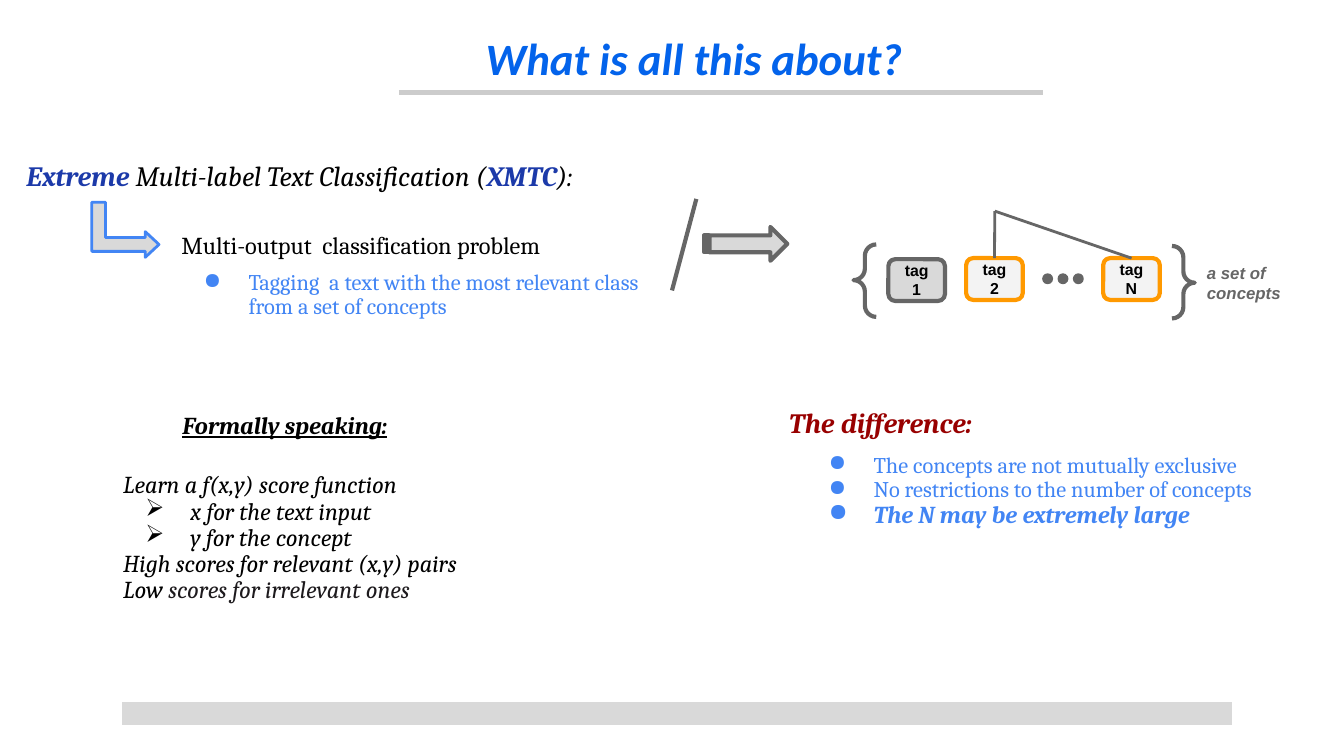
"""Build the slide introducing extreme multi-label text classification."""
from dataclasses import dataclass
from typing import Optional

from lxml import etree
from pptx import Presentation
from pptx import util as u
from pptx.dml.color import RGBColor
from pptx.enum import shapes, text
from pptx.oxml.ns import qn


@dataclass(frozen=True)
class Theme:
    black: str = "000000"
    ink: str = "1D1A1D"
    title: str = "0363EB"
    navy: str = "1C3AA9"
    blue: str = "4285F4"
    red: str = "980000"
    orange: str = "FF9900"
    gray: str = "666666"
    rule: str = "CCCCCC"
    silver: str = "D9D9D9"
    pale: str = "F3F3F3"
    serif: str = "Cambria"
    sans: str = "Arial"
    heading: str = "Calibri"
    title_size: float = 24
    heading_size: float = 15
    body_size: float = 13
    bullet_size: float = 12
    note_size: float = 9
    tag_size: float = 8.5


THEME = Theme()


@dataclass(frozen=True)
class Style:
    size: float = THEME.body_size
    color: str = THEME.black
    name: str = THEME.serif
    bold: bool = False
    italic: bool = False
    underline: bool = False
    spacing: Optional[float] = 0.9
    centered: bool = False


@dataclass(frozen=True)
class Span:
    words: str
    color: Optional[str] = None
    bold: Optional[bool] = None


@dataclass(frozen=True)
class Line:
    spans: tuple[Span, ...]
    style: Style
    bullet: str = ""


@dataclass(frozen=True)
class Box:
    left: float
    top: float
    width: float
    height: float

    def lengths(self) -> tuple:
        return u.Cm(self.left), u.Cm(self.top), u.Cm(self.width), u.Cm(self.height)


def line(words: str, style: Style, bullet: str = "") -> Line:
    return Line((Span(words),), style, bullet)


def add_bullet(paragraph, character: str, color: str) -> None:
    properties = paragraph._p.get_or_add_pPr()
    properties.set("marL", str(u.Cm(1.27)))
    properties.set("indent", str(u.Cm(-0.85)))
    bullet_color = etree.SubElement(properties, qn("a:buClr"))
    etree.SubElement(bullet_color, qn("a:srgbClr"), val=color)
    etree.SubElement(properties, qn("a:buChar"), char=character)


def write(shape, lines: list[Line]) -> None:
    frame = shape.text_frame
    frame.word_wrap = True
    frame.margin_left = frame.margin_right = u.Cm(0.25)
    frame.margin_top = frame.margin_bottom = u.Cm(0.25)
    for index, item in enumerate(lines):
        paragraph = frame.add_paragraph() if index else frame.paragraphs[0]
        style = item.style
        if item.bullet:
            add_bullet(paragraph, item.bullet, style.color)
        paragraph.alignment = text.PP_ALIGN.CENTER if style.centered else text.PP_ALIGN.LEFT
        paragraph.line_spacing = style.spacing
        font = paragraph.font
        font.size, font.name = u.Pt(style.size), style.name
        font.bold, font.italic, font.underline = style.bold, style.italic, style.underline
        font.color.rgb = RGBColor.from_string(style.color)
        for span in item.spans:
            run = paragraph.add_run()
            run.text = span.words
            if span.bold is not None:
                run.font.bold = span.bold
            if span.color:
                run.font.color.rgb = RGBColor.from_string(span.color)


def add_text(slide, box: Box, *lines: Line) -> None:
    write(slide.shapes.add_textbox(*box.lengths()), list(lines))


def add_figure(container, kind, box: Box, fill: Optional[str], outline: str,
               weight: float, adjustments: tuple = (), rotation: float = 0):
    shape = container.shapes.add_shape(kind, *box.lengths())
    shape.shadow.inherit = False
    shape.rotation = rotation
    for index, value in enumerate(adjustments):
        shape.adjustments[index] = value
    if fill:
        shape.fill.solid()
        shape.fill.fore_color.rgb = RGBColor.from_string(fill)
    else:
        shape.fill.background()
    shape.line.color.rgb = RGBColor.from_string(outline)
    shape.line.width = u.Pt(weight)
    return shape


def add_line(slide, start: tuple, end: tuple, color: str, weight: float):
    connector = slide.shapes.add_connector(
        shapes.MSO_CONNECTOR.STRAIGHT, *(u.Cm(value) for value in start + end))
    connector.line.color.rgb = RGBColor.from_string(color)
    connector.line.width = u.Pt(weight)
    etree.SubElement(connector._element.spPr, qn("a:effectLst"))
    return connector


def add_tag(slide, words: str, left: float, top: float, fill: str, outline: str):
    tag = add_figure(slide, shapes.MSO_SHAPE.ROUNDED_RECTANGLE,
                     Box(left, top, 1.07, 0.79), fill, outline, 2.25, (0.167,))
    style = Style(THEME.tag_size, name=THEME.sans, bold=True, spacing=None, centered=True)
    write(tag, [line(words, style)])
    tag.text_frame.vertical_anchor = text.MSO_ANCHOR.MIDDLE
    return tag


def add_concept_set(slide) -> None:
    add_tag(slide, "tag1", 16.79, 4.9, THEME.silver, THEME.gray)
    for words, left in (("tag2", 18.26), ("tagN", 20.85)):
        tag = add_tag(slide, words, left, 4.88, THEME.pale, THEME.orange)
        branch = add_line(slide, (18.8, 3.99), (left, 4.88), THEME.gray, 1.5)
        branch.end_connect(tag, 0)
    for left, top, rotation in ((16.13, 4.62, 180), (22.15, 4.65, 0)):
        add_figure(slide, shapes.MSO_SHAPE.RIGHT_BRACE, Box(left, top, 0.43, 1.37),
                   None, THEME.gray, 2.25, (0.5, 0.508), rotation)
    ellipsis = slide.shapes.add_group_shape()
    for index in range(3):
        add_figure(ellipsis, shapes.MSO_SHAPE.OVAL,
                   Box(19.71 + index * 0.29, 5.18, 0.18, 0.18), THEME.gray, THEME.gray, 0.75)
    note = Style(THEME.note_size, THEME.gray, THEME.sans, bold=True, italic=True, spacing=None)
    add_text(slide, Box(22.56, 4.72, 2.11, 1.27), line("a set of", note), line("concepts", note))


def main() -> None:
    presentation = Presentation()
    presentation.slide_width, presentation.slide_height = u.Cm(25.4), u.Cm(14.29)
    slide = presentation.slides.add_slide(presentation.slide_layouts[6])

    add_line(slide, (2.31, 13.49), (23.29, 13.49), THEME.silver, 12)
    add_line(slide, (7.54, 1.75), (19.71, 1.75), THEME.rule, 3)
    add_text(slide, Box(7.47, 0.33, 11.3, 1.6), line("What is all this about?", Style(
        THEME.title_size, THEME.title, THEME.heading, True, True, spacing=None, centered=True)))

    add_text(slide, Box(0.25, 2.82, 12.57, 1.19), Line((
        Span("Extreme ", THEME.navy, True), Span("Multi-label Text Classification ("),
        Span("XMTC", THEME.navy, True), Span("):")), Style(THEME.heading_size, italic=True)))
    add_figure(slide, shapes.MSO_SHAPE.BENT_UP_ARROW, Box(1.85, 3.71, 1.04, 1.27),
               THEME.silver, THEME.blue, 1.5, (0.25, 0.233, 0.25), 90)
    add_text(slide, Box(3.18, 4.17, 8.84, 0.91),
             line("Multi-output  classification problem", Style()))
    point = Style(THEME.bullet_size, THEME.blue)
    add_text(slide, Box(3.18, 4.88, 9.65, 1.45), line(
        "Tagging  a text with the most relevant class from a set of concepts", point, "●"))

    add_line(slide, (13.16, 3.76), (12.7, 5.49), THEME.gray, 2.25)
    add_figure(slide, shapes.MSO_SHAPE.STRIPED_RIGHT_ARROW, Box(13.31, 4.29, 1.57, 0.64),
               THEME.silver, THEME.gray, 2.25, (0.5, 0.5))
    add_concept_set(slide)

    formal = Style(italic=True)
    add_text(slide, Box(3.2, 7.57, 5.56, 1.12), line(
        "Formally speaking:", Style(bold=True, italic=True, underline=True)))
    add_text(slide, Box(2.08, 8.69, 7.8, 3.02),
             line("Learn a f(x,y) score function", formal),
             line("x for the text input", formal, "➢"),
             line("y for the concept", formal, "➢"),
             line("High scores for relevant (x,y) pairs", formal),
             Line((Span("Low "), Span("scores for irrelevant ones", THEME.ink)), formal))

    add_text(slide, Box(14.66, 7.49, 5.13, 1.09), line("The difference:", Style(
        THEME.heading_size, THEME.red, bold=True, italic=True)))
    add_text(slide, Box(14.99, 8.33, 10.54, 2.44),
             line("The concepts are not mutually exclusive", point, "●"),
             line("No restrictions to the number of concepts", point, "●"),
             line("The N may be extremely large",
                  Style(color=THEME.blue, bold=True, italic=True), "●"))
    presentation.save("out.pptx")


if __name__ == "__main__":
    main()
